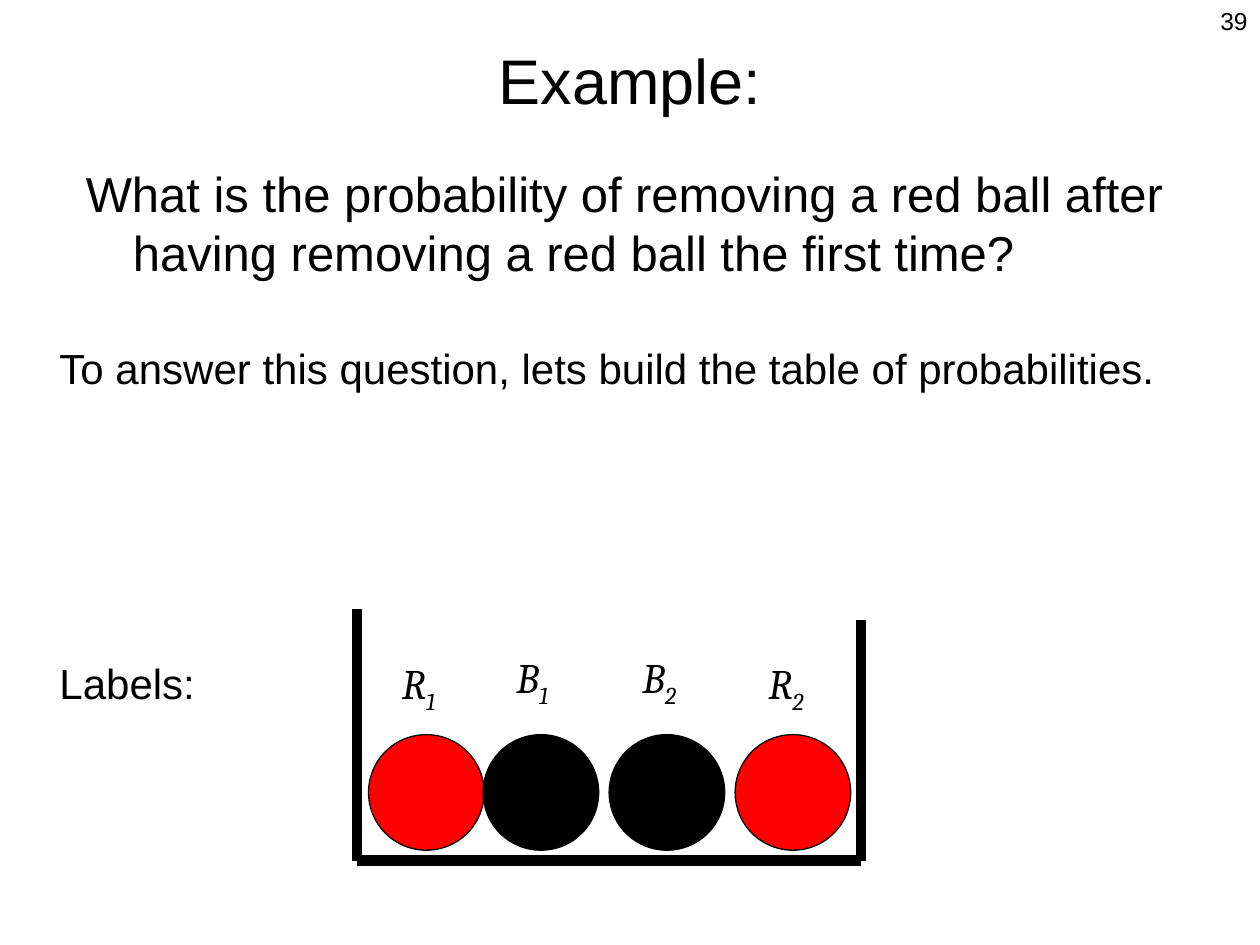
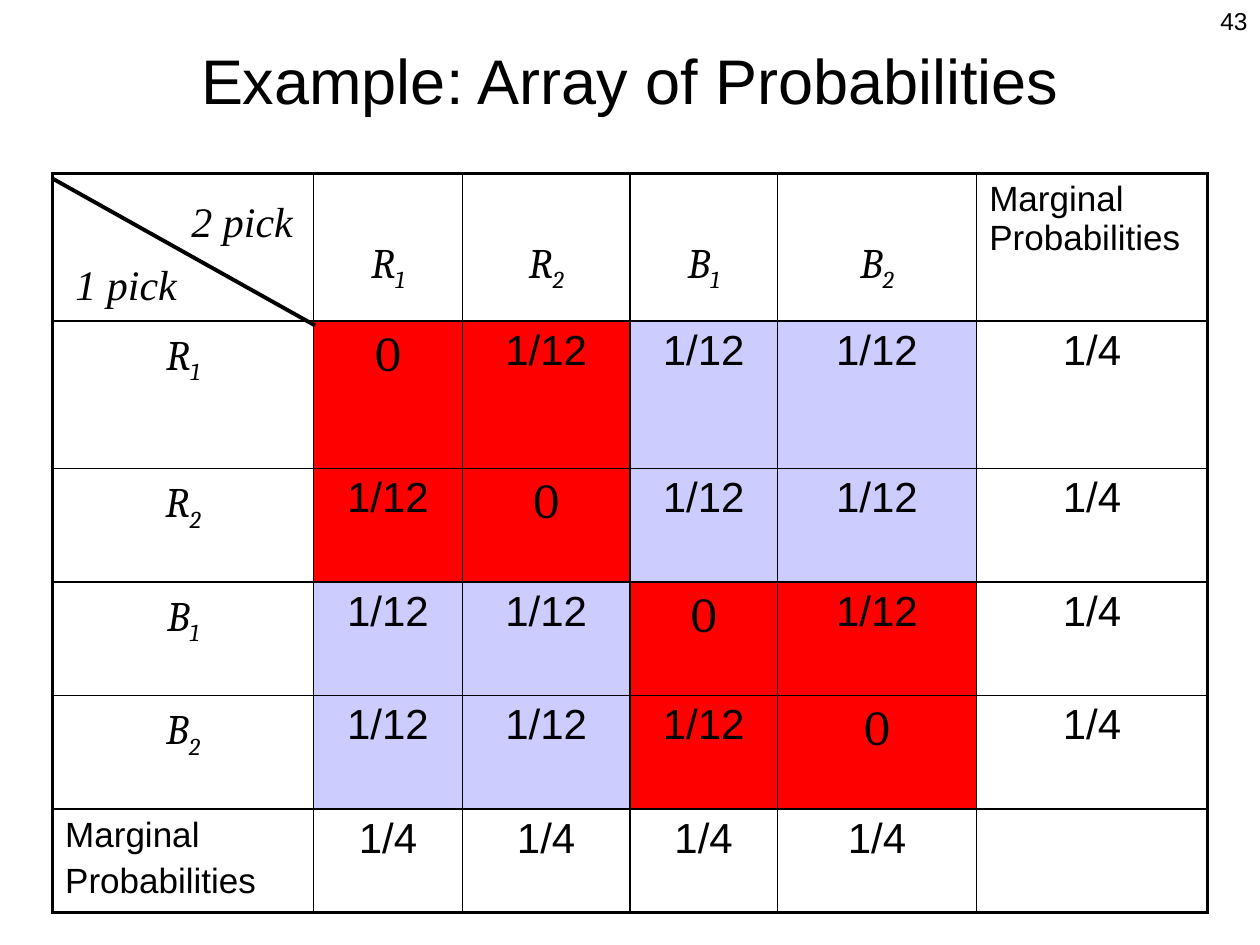
from pptx import Presentation
from pptx.dml.color import RGBColor
from pptx.enum.shapes import MSO_CONNECTOR, MSO_SHAPE
from pptx.enum.text import MSO_ANCHOR, MSO_AUTO_SIZE, PP_ALIGN
from pptx.oxml.ns import qn
from pptx.util import Cm, Pt
from lxml.etree import SubElement

COLORS = {"ink": "000000", "red": "FF0000", "lavender": "CCCCFF"}
SANS, MATH, SERIF = "Arial", "Cambria", "Times New Roman"


def rgb(name):
    return RGBColor.from_string(COLORS[name])


def set_font(p, size, name=SANS, italic=False):
    p.font.size, p.font.name, p.font.italic = Pt(size), name, italic
    p.font.color.rgb = rgb("ink")


def write_symbol(p, symbol):
    """Write a label such as R1 with its digit as a subscript."""
    set_font(p, 24, MATH, italic=True)
    p.line_spacing = 1.1 if p.alignment or symbol[0] == "B" else None
    p.add_run().text = symbol[0]
    r = p.add_run()
    r.text = symbol[1]
    r.font._element.set("baseline", "-25000")


def add_text(s, box, text="", size=24, name=SANS, italic=False, align=None,
             anchor=MSO_ANCHOR.TOP, wrap=True):
    tf = s.shapes.add_textbox(*map(Cm, box)).text_frame
    tf.word_wrap, tf.vertical_anchor = wrap, anchor
    if not wrap:
        tf.auto_size = MSO_AUTO_SIZE.SHAPE_TO_FIT_TEXT
    p = tf.paragraphs[0]
    p.alignment = align
    if text:
        p.text = text
        set_font(p, size, name, italic)
    return p


def add_line(s, start, end, width):
    line = s.shapes.add_connector(MSO_CONNECTOR.STRAIGHT, *map(Cm, start + end))
    line.line.color.rgb, line.line.width = rgb("ink"), Pt(width)
    SubElement(line._element.spPr, qn("a:effectLst"))


def add_slide(prs, title, number):
    """Start a slide with the shared page number and title."""
    s = prs.slides.add_slide(prs.slide_layouts[6])
    add_text(s, (20.12, 0, 5.28, 1.27), number, 14, align=PP_ALIGN.RIGHT)
    add_text(s, (1.9, 0, 21.6, 3.18), title, 36, align=PP_ALIGN.CENTER,
             anchor=MSO_ANCHOR.MIDDLE)
    return s


def add_urn(s, box):
    """Draw the open container with its four labelled balls."""
    x, y, w, h = box
    floor, right = y + h, x + w
    add_line(s, (x, y), (x, floor), 6)
    add_line(s, (x, floor), (right, floor), 6)
    add_line(s, (right, floor), (right, y + 0.23), 6)

    balls = [("R1", 0.23), ("B1", 2.54), ("B2", 5.08), ("R2", 7.62)]
    for symbol, offset in balls:
        is_red = symbol[0] == "R"
        left = x + offset
        sp = s.shapes.add_shape(MSO_SHAPE.OVAL, Cm(left), Cm(floor - 2.54),
                                Cm(2.33), Cm(2.33))
        sp.shadow.inherit = False
        sp.fill.solid()
        sp.fill.fore_color.rgb = rgb("red" if is_red else "ink")
        sp.line.color.rgb, sp.line.width = rgb("ink"), Pt(0.75)
        label_top = y + (0.86 if is_red else 0.63)
        p = add_text(s, (left + 0.42, label_top, 1.43, 1.27), wrap=False)
        write_symbol(p, symbol)


def set_borders(cell, row, col, last_row, last_col):
    """Heavy lines on the table's outside, thin ones inside."""
    sides = {"L": col == 0, "R": col == last_col,
             "T": row == 0, "B": row == last_row}
    tcPr = cell._tc.get_or_add_tcPr()
    for side, outer in sides.items():
        ln = SubElement(tcPr, qn(f"a:ln{side}"), w=str(Pt(2.25 if outer else 1)))
        fill = SubElement(ln, qn("a:solidFill"))
        SubElement(fill, qn("a:srgbClr"), val=COLORS["ink"])


def fill_cell(cell, row_name, col_name):
    """Write one cell from the names of its row and column."""
    p = cell.text_frame.paragraphs[0]
    cell.fill.background()
    if row_name == col_name and row_name in ("", "total"):
        return
    if "total" in (row_name, col_name) and "" in (row_name, col_name):
        if row_name == "total":
            p.text = "Marginal"
            p2 = cell.text_frame.add_paragraph()
            p2.text, p2.space_before = "Probabilities", Pt(4)
            set_font(p2, 20)
        else:
            p.text = "Marginal Probabilities"
        set_font(p, 20)
        return
    p.alignment = PP_ALIGN.CENTER
    if not row_name or not col_name:
        write_symbol(p, row_name or col_name)
        if not row_name:
            cell.margin_top = Cm(1.24)
    elif "total" in (row_name, col_name):
        p.text = "1/4"
        set_font(p, 24)
    else:
        same_ball = row_name == col_name
        p.text = "0" if same_ball else "1/12"
        set_font(p, 28 if same_ball else 24, MATH if same_ball else SANS)
        cell.fill.solid()
        same_color = row_name[0] == col_name[0]
        cell.fill.fore_color.rgb = rgb("red" if same_color else "lavender")


def add_probability_table(s, box):
    x, y, w, h = box
    names = ["", "R1", "R2", "B1", "B2", "total"]
    last = len(names) - 1
    table = s.shapes.add_table(len(names), len(names), *map(Cm, box)).table
    table.first_row = table.horz_banding = False
    for column, width in zip(table.columns, (5.26, 3, 3.38, 2.97, 4.02, 4.65)):
        column.width = Cm(width)
    for row, height in zip(table.rows, (2.97, 2.97, 2.29, 2.29, 2.29, 2.04)):
        row.height = Cm(height)
    for i, row_name in enumerate(names):
        for j, col_name in enumerate(names):
            cell = table.cell(i, j)
            set_borders(cell, i, j, last, last)
            fill_cell(cell, row_name, col_name)

    # Split corner cell
    add_line(s, (x + 5.29, y + 3.06), (x, y + 0.1), 2.25)
    add_text(s, (x + 0.21, y + 1.58, 2.57, 1.27), "1 pick", 24, SERIF, True,
             wrap=False)
    add_text(s, (x + 2.55, y + 0.31, 2.96, 1.27), "2 pick", 24, SERIF, True)


def build_question_slide(prs):
    s = add_slide(prs, "Example:", "39")
    question = add_text(s, (1.48, 3.18, 22.23, 6.99),
                        "What is the probability of removing a red ball after "
                        "having removing a red ball the first time?", 28)
    pPr = question._p.get_or_add_pPr()
    pPr.set("marL", str(Cm(0.95)))
    pPr.set("indent", str(-Cm(0.95)))
    add_text(s, (0.95, 6.77, 23.5, 1.27),
             "To answer this question, lets build the table of probabilities.")
    add_text(s, (0.95, 13.13, 23.5, 1.27), "Labels:")
    add_urn(s, (7.2, 12.27, 10.16, 5.08))


def build_array_slide(prs):
    s = add_slide(prs, "Example: Array of Probabilities", "43")
    add_probability_table(s, (1.06, 3.5, 23.28, 14.85))


def main():
    prs = Presentation()
    prs.slide_width, prs.slide_height = Cm(25.4), Cm(19.05)
    build_question_slide(prs)
    build_array_slide(prs)
    prs.save("out.pptx")


if __name__ == "__main__":
    main()
